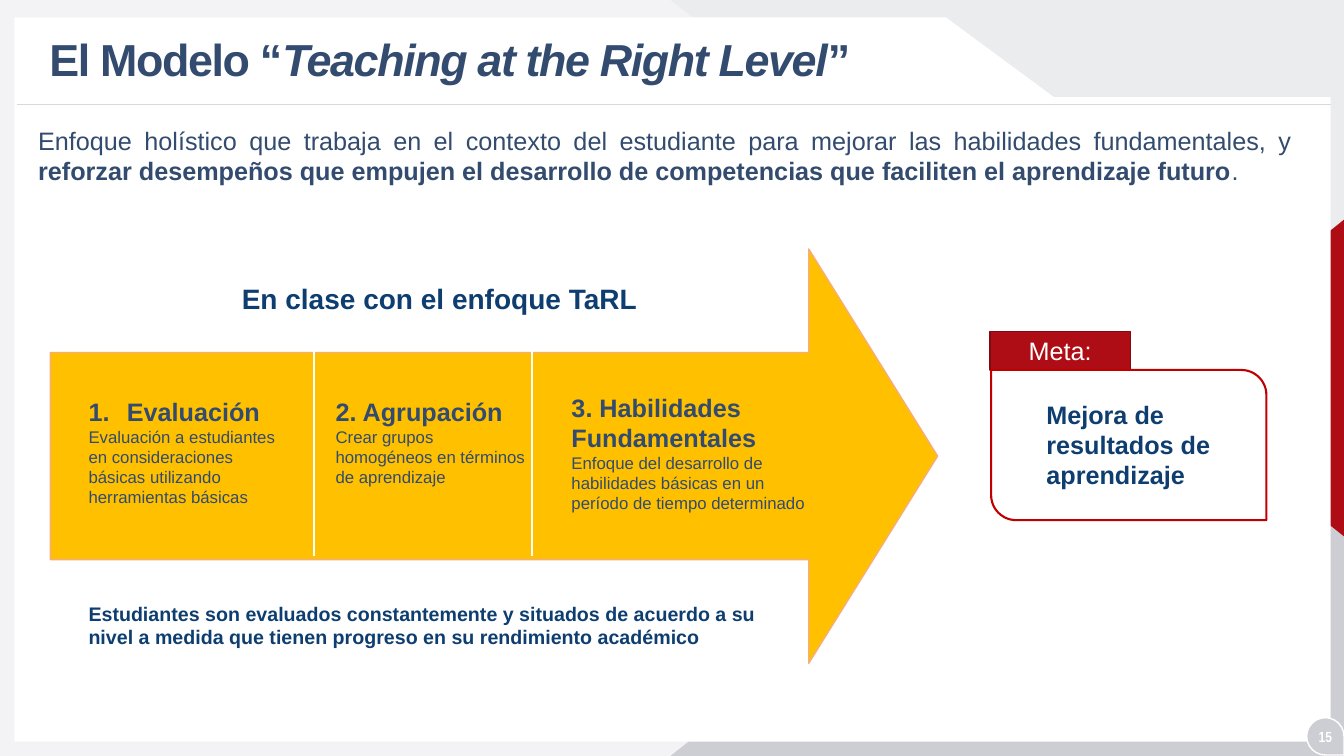
from dataclasses import dataclass
from typing import Optional

from lxml.etree import SubElement
from pptx import Presentation
from pptx.dml.color import RGBColor
from pptx.enum.shapes import MSO_CONNECTOR, MSO_SHAPE
from pptx.enum.text import MSO_ANCHOR, MSO_AUTO_SIZE, PP_ALIGN
from pptx.oxml.ns import qn
from pptx.util import Inches, Pt

WHITE = RGBColor(0xFF, 0xFF, 0xFF)
PALE_GRAY = RGBColor(0xF3, 0xF3, 0xF5)
LIGHT_GRAY = RGBColor(0xEB, 0xEC, 0xEE)
MID_GRAY = RGBColor(0xCD, 0xCE, 0xD3)
RULE_GRAY = RGBColor(0xD9, 0xD9, 0xD9)
RED = RGBColor(0xAF, 0x0D, 0x15)
DARK_RED = RGBColor(0x81, 0x0A, 0x10)
GOAL_RED = RGBColor(0xC0, 0x00, 0x00)
AMBER = RGBColor(0xFF, 0xC0, 0x00)
PEACH = RGBColor(0xF6, 0xAD, 0x7C)
SLATE = RGBColor(0x32, 0x4B, 0x6E)
NAVY = RGBColor(0x0E, 0x3E, 0x70)


@dataclass(frozen=True)
class Box:
    left: float
    top: float
    width: float
    height: float


@dataclass(frozen=True)
class Run:
    text: str
    size: float
    color: RGBColor = SLATE
    bold: bool = False
    italic: bool = False
    font: str = "Arial"


@dataclass(frozen=True)
class Figure:
    kind: MSO_SHAPE
    box: Box
    fill: Optional[RGBColor] = None
    line: Optional[RGBColor] = None
    line_width: float = 1
    rotation: float = 0
    adjustments: tuple[float, ...] = ()
    flipped: bool = False


@dataclass(frozen=True)
class Step:
    box: Box
    heading: str
    detail: str
    numbered: bool = False


@dataclass(frozen=True)
class Rule:
    start: tuple[float, float]
    end: tuple[float, float]
    color: RGBColor
    width: float


BACKDROP = [
    Figure(MSO_SHAPE.RECTANGLE, Box(0, 0, 13.33, 7.5), PALE_GRAY),
    Figure(MSO_SHAPE.ISOSCELES_TRIANGLE, Box(6.65, 0, 6.69, 5.31), LIGHT_GRAY, adjustments=(1,), flipped=True),
    Figure(MSO_SHAPE.ISOSCELES_TRIANGLE, Box(6.65, 2.19, 6.69, 5.31), MID_GRAY, adjustments=(1,)),
    Figure(MSO_SHAPE.ISOSCELES_TRIANGLE, Box(10.78, 2.77, 3.15, 1.96), RED, rotation=270),
]
PANEL_OUTLINE = [(0.15, 0.18), (9.38, 0.18), (10.45, 0.97), (13.19, 0.97), (13.19, 7.35), (0.15, 7.35)]
TITLE_RULE = Rule((13.2, 1.04), (0.17, 1.04), RULE_GRAY, 0.5)
PAGE_DROP = Figure(MSO_SHAPE.TEAR, Box(12.96, 7.12, 0.37, 0.37), MID_GRAY, WHITE, rotation=90)
PROCESS_ARROW = Figure(MSO_SHAPE.RIGHT_ARROW, Box(0.5, 2.47, 8.8, 4.11), AMBER, PEACH, adjustments=(0.5, 0.311))
GOAL_TAG = Figure(MSO_SHAPE.RECTANGLE, Box(9.82, 3.29, 1.39, 0.38), RED, DARK_RED)
GOAL_FRAME = Figure(MSO_SHAPE.ROUND_2_DIAG_RECTANGLE, Box(10.45, 3.05, 1.49, 2.73), None, GOAL_RED, 1.5, 90)
CAPTIONS = [
    (Box(2.3, 2.74, 4.13, 0.44), Run("En clase con el enfoque TaRL", 20, NAVY, True)),
    (Box(0.78, 5.92, 7, 0.57), Run(
        "Estudiantes son evaluados constantemente y situados de acuerdo a su "
        "nivel a medida que tienen progreso en su rendimiento académico", 14, NAVY, True)),
    (Box(10.28, 3.91, 1.86, 1.01), Run("Mejora de resultados de aprendizaje", 18, NAVY, True)),
]
STEPS = [
    Step(Box(0.78, 3.88, 2.24, 1.21), "Evaluación",
         "Evaluación a estudiantes en consideraciones básicas utilizando herramientas básicas", True),
    Step(Box(3.23, 3.88, 2.09, 1.01), "2. Agrupación",
         "Crear grupos homogéneos en términos de aprendizaje"),
    Step(Box(5.57, 3.84, 2.57, 1.31), "3. Habilidades Fundamentales",
         "Enfoque del desarrollo de habilidades básicas en un período de tiempo determinado"),
]
DIVIDERS = [Rule((x, 3.48), (x, 5.52), WHITE, 1.5) for x in (3.11, 5.28)]
INTRODUCTION = [
    Run("Enfoque holístico que trabaja en el contexto del estudiante para mejorar "
        "las habilidades fundamentales, y ", 18),
    Run("reforzar desempeños que empujen el desarrollo de competencias que faciliten "
        "el aprendizaje futuro", 18, bold=True),
    Run(".", 18),
]
TITLE = [
    Run("El Modelo “", 32, bold=True),
    Run("Teaching at the Right Level", 32, bold=True, italic=True),
    Run("”", 32, bold=True),
]


def place(box: Box) -> tuple:
    """Convert a box to lengths."""
    return tuple(Inches(value) for value in (box.left, box.top, box.width, box.height))


def paint(shape, fill: Optional[RGBColor], line: Optional[RGBColor], width: float) -> None:
    """Set the fill and outline of a shape and remove its shadow."""
    shape.shadow.inherit = False
    if fill is None:
        shape.fill.background()
    else:
        shape.fill.solid()
        shape.fill.fore_color.rgb = fill
    if line is None:
        shape.line.fill.background()
    else:
        shape.line.color.rgb = line
        shape.line.width = Pt(width)


def add_figure(slide, figure: Figure):
    """Draw a preset shape."""
    shape = slide.shapes.add_shape(figure.kind, *place(figure.box))
    paint(shape, figure.fill, figure.line, figure.line_width)
    shape.rotation = figure.rotation
    for index, value in enumerate(figure.adjustments):
        shape.adjustments[index] = value
    if figure.flipped:
        shape._element.spPr.find(qn("a:xfrm")).set("flipV", "1")
    return shape


def add_rule(slide, rule: Rule) -> None:
    """Draw a straight line."""
    points = [Inches(value) for value in rule.start + rule.end]
    connector = slide.shapes.add_connector(MSO_CONNECTOR.STRAIGHT, *points)
    connector.line.color.rgb = rule.color
    connector.line.width = Pt(rule.width)
    SubElement(connector._element.spPr, qn("a:effectLst"))


def write_runs(paragraph, runs: list[Run], alignment: PP_ALIGN = PP_ALIGN.LEFT) -> None:
    """Fill a paragraph with formatted runs."""
    paragraph.alignment = alignment
    for item in runs:
        run = paragraph.add_run()
        run.text = item.text
        font = run.font
        font.name, font.size, font.color.rgb = item.font, Pt(item.size), item.color
        font.bold, font.italic = item.bold, item.italic


def add_text(slide, box: Box, runs: list[Run], alignment: PP_ALIGN = PP_ALIGN.LEFT):
    """Add a wrapping text box with one paragraph and return its frame."""
    frame = slide.shapes.add_textbox(*place(box)).text_frame
    frame.word_wrap = True
    frame.auto_size = MSO_AUTO_SIZE.SHAPE_TO_FIT_TEXT
    write_runs(frame.paragraphs[0], runs, alignment)
    return frame


def add_step(slide, step: Step) -> None:
    """Add the heading and detail of one step."""
    frame = add_text(slide, step.box, [Run(step.heading, 18, bold=True)])
    if step.numbered:
        properties = frame.paragraphs[0]._p.get_or_add_pPr()
        properties.set("marL", str(Inches(0.38)))
        properties.set("indent", str(-Inches(0.38)))
        SubElement(properties, qn("a:buAutoNum"), type="arabicPeriod")
    write_runs(frame.add_paragraph(), [Run(step.detail, 12)])


def add_backdrop(slide) -> None:
    """Draw the gray and red backdrop with its white panel."""
    for figure in BACKDROP:
        add_figure(slide, figure)
    points = [(Inches(x), Inches(y)) for x, y in PANEL_OUTLINE]
    builder = slide.shapes.build_freeform(*points[0])
    builder.add_line_segments(points[1:], close=True)
    paint(builder.convert_to_shape(), WHITE, WHITE, 1)
    add_rule(slide, TITLE_RULE)
    add_figure(slide, PAGE_DROP)


def format_title(slide) -> None:
    """Place the title in front of the backdrop and write it."""
    title = slide.shapes.title
    slide.shapes._spTree.append(title._element)
    title.left, title.top, title.width, title.height = place(Box(0.39, 0.22, 9.66, 0.79))
    frame = title.text_frame
    frame.auto_size = MSO_AUTO_SIZE.NONE
    frame.vertical_anchor = MSO_ANCHOR.MIDDLE
    paragraph = frame.paragraphs[0]
    write_runs(paragraph, TITLE)
    paragraph.line_spacing = 0.9
    for run in paragraph.runs:
        run.font._element.set("spc", "-100")


def main() -> None:
    """Build the slide and save it."""
    presentation = Presentation()
    presentation.slide_width, presentation.slide_height = Inches(13.33), Inches(7.5)
    slide = presentation.slides.add_slide(presentation.slide_layouts[5])
    add_backdrop(slide)
    format_title(slide)
    page_number = Run("15", 10.5, WHITE, True, font="Arial Narrow")
    page_frame = add_text(slide, Box(12.91, 7.17, 0.47, 0.28), [page_number], PP_ALIGN.CENTER)
    page_frame.auto_size = MSO_AUTO_SIZE.NONE
    page_frame.vertical_anchor = MSO_ANCHOR.MIDDLE
    add_figure(slide, PROCESS_ARROW)
    for box, run in CAPTIONS:
        add_text(slide, box, [run])
    for step in STEPS:
        add_step(slide, step)
    for divider in DIVIDERS:
        add_rule(slide, divider)
    add_text(slide, Box(0.28, 1.19, 12.63, 0.71), INTRODUCTION, PP_ALIGN.JUSTIFY)
    tag_frame = add_figure(slide, GOAL_TAG).text_frame
    tag_frame.vertical_anchor = MSO_ANCHOR.MIDDLE
    write_runs(tag_frame.paragraphs[0], [Run("Meta:", 18, WHITE)], PP_ALIGN.CENTER)
    add_figure(slide, GOAL_FRAME)
    presentation.save("out.pptx")


if __name__ == "__main__":
    main()
